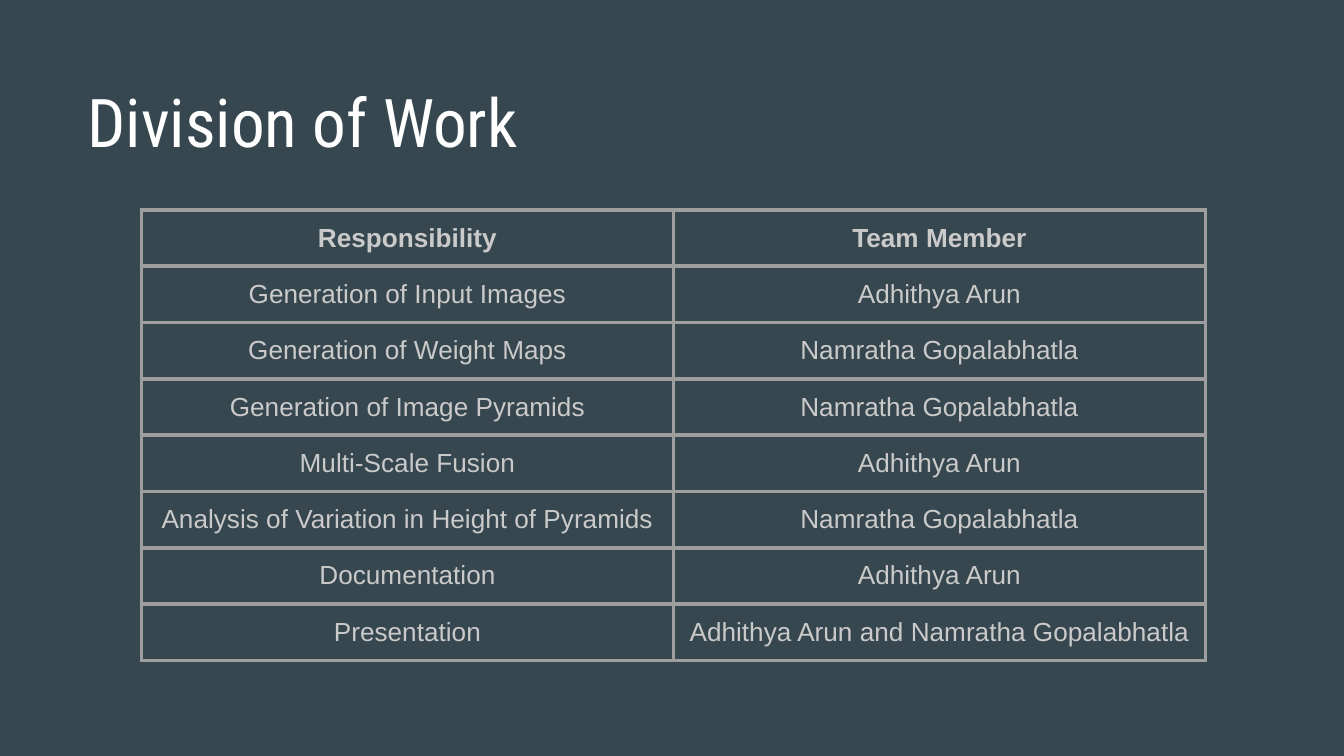
from typing import NamedTuple

from lxml.etree import SubElement
from pptx import Presentation
from pptx.dml.color import RGBColor
from pptx.enum.text import MSO_ANCHOR, PP_ALIGN
from pptx.oxml.ns import qn
from pptx.util import Pt

SLATE = RGBColor(0x37, 0x47, 0x4F)
WHITE = RGBColor(0xFF, 0xFF, 0xFF)
SILVER = RGBColor(0xCA, 0xCA, 0xCA)
GREY = RGBColor(0x9E, 0x9E, 0x9E)

PAD = Pt(7.2)
EDGE = Pt(2.25)
COL_W = Pt(285)
ROW_H = Pt(30.1)

ARUN = "Adhithya Arun"
NAM = "Namratha Gopalabhatla"


class Task(NamedTuple):
    duty: str
    member: str


TASKS = [
    Task("Responsibility", "Team Member"),
    Task("Generation of Input Images", ARUN),
    Task("Generation of Weight Maps", NAM),
    Task("Generation of Image Pyramids", NAM),
    Task("Multi-Scale Fusion", ARUN),
    Task("Analysis of Variation in Height of Pyramids", NAM),
    Task("Documentation", ARUN),
    Task("Presentation", f"{ARUN} and {NAM}"),
]


def write(frame, text: str, *, size: float, color: RGBColor, font="Arial",
          bold=False, align=PP_ALIGN.LEFT) -> None:
    para = frame.paragraphs[0]
    para.alignment = align
    run = para.add_run()
    run.text = text
    run.font.name = font
    run.font.size = Pt(size)
    run.font.bold = bold
    run.font.color.rgb = color


def pad(box) -> None:
    box.margin_left = box.margin_right = PAD
    box.margin_top = box.margin_bottom = PAD


def border(cell) -> None:
    props = cell._tc.get_or_add_tcPr()
    for side in ("a:lnL", "a:lnR", "a:lnT", "a:lnB"):
        line = SubElement(props, qn(side), w=str(EDGE))
        fill = SubElement(line, qn("a:solidFill"))
        SubElement(fill, qn("a:srgbClr"), val=str(GREY))


def draw_table(slide, tasks: list[Task]) -> None:
    rows, cols = len(tasks), len(Task._fields)
    frame = slide.shapes.add_table(rows, cols, Pt(75.8), Pt(112.5),
                                   COL_W * cols, ROW_H * rows)
    table = frame.table
    table.horz_banding = False
    for r, task in enumerate(tasks):
        table.rows[r].height = ROW_H
        for c, text in enumerate(task):
            cell = table.cell(r, c)
            pad(cell)
            cell.vertical_anchor = MSO_ANCHOR.TOP
            border(cell)
            cell.fill.background()
            write(cell.text_frame, text, size=14, color=SILVER,
                  bold=r == 0, align=PP_ALIGN.CENTER)


def main() -> None:
    deck = Presentation()
    deck.slide_width, deck.slide_height = Pt(720), Pt(405)
    slide = deck.slides.add_slide(deck.slide_layouts[5])

    # Background
    slide.background.fill.solid()
    slide.background.fill.fore_color.rgb = SLATE

    # Title
    title = slide.shapes.title
    title.left, title.top = Pt(39.6), Pt(31)
    title.width, title.height = Pt(618.5), Pt(67.7)
    frame = title.text_frame
    pad(frame)
    frame.word_wrap = True
    frame.vertical_anchor = MSO_ANCHOR.MIDDLE
    write(frame, "Division of Work", size=36, color=WHITE,
          font="Roboto Condensed")

    # Work table
    draw_table(slide, TASKS)

    deck.save("out.pptx")


if __name__ == "__main__":
    main()
